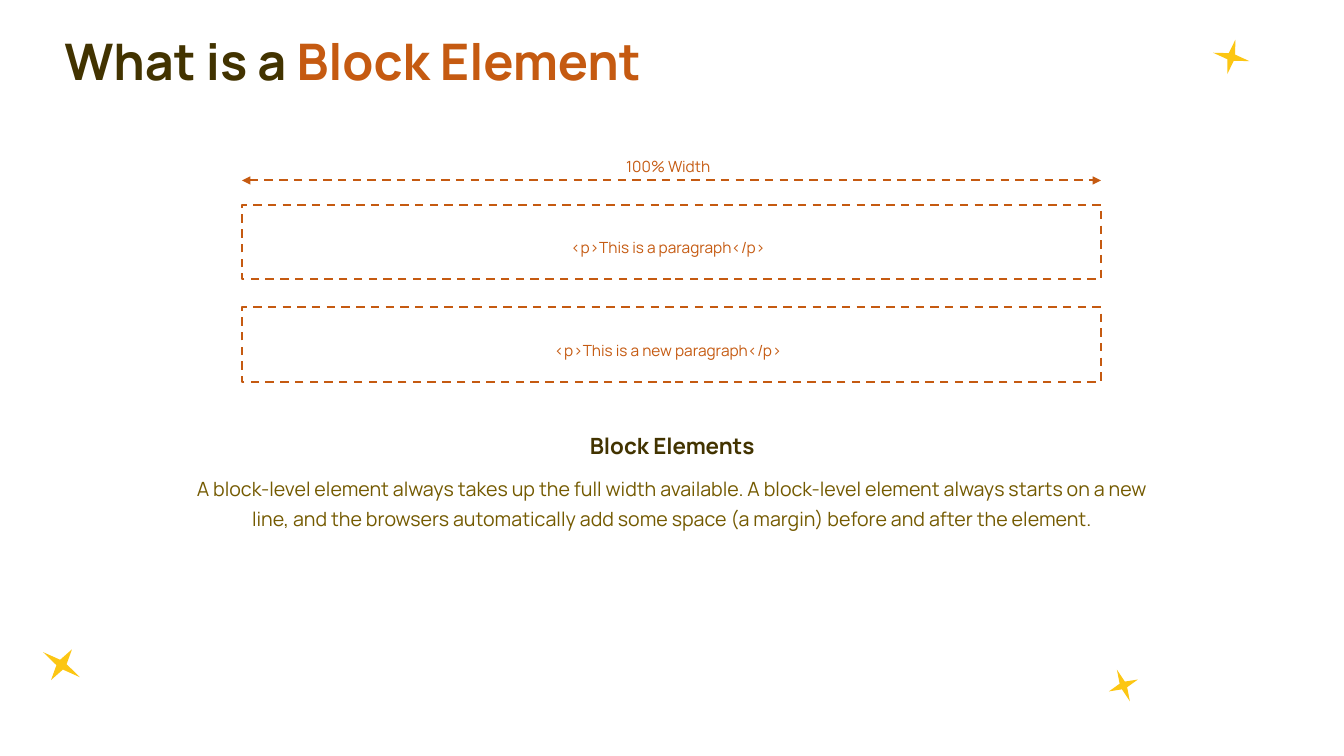
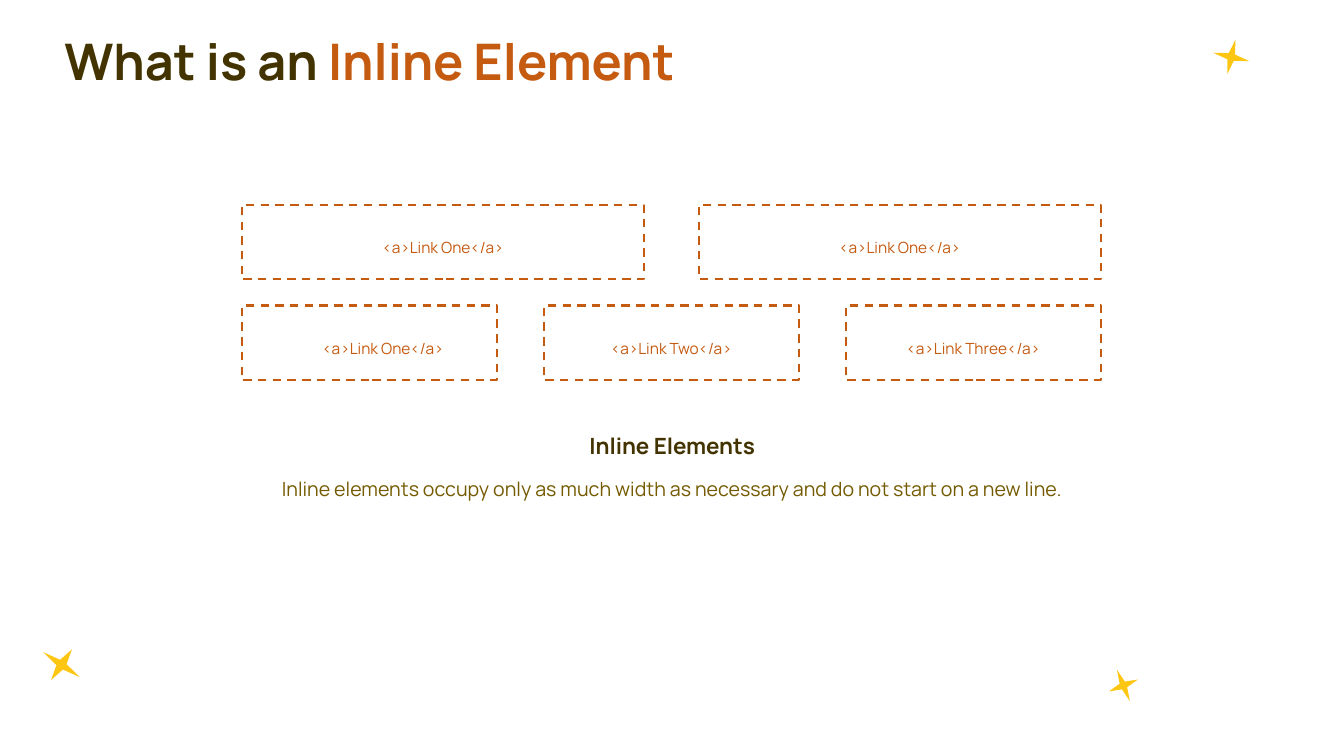
"""Build two slides on block and inline elements."""
from dataclasses import dataclass

from lxml.etree import SubElement
from pptx import Presentation
from pptx.dml.color import RGBColor
from pptx.enum.dml import MSO_LINE
from pptx.enum.shapes import MSO_CONNECTOR, MSO_SHAPE
from pptx.enum.text import MSO_ANCHOR, MSO_AUTO_SIZE, PP_ALIGN
from pptx.oxml.ns import qn
from pptx.util import Pt


@dataclass(frozen=True)
class Theme:
    """Colours, font and type sizes of the deck."""
    dark: str = "423300"
    accent: str = "C55A11"
    olive: str = "745A00"
    gold: str = "FCC613"
    font: str = "Manrope"
    title: int = 36
    head: int = 16
    body: int = 14
    label: int = 11
    line: float = 1.5


THEME = Theme()
STARS = [
    (28.1, 461.5, 31.7, 26.6, 34.3),
    (866.2, 28.1, 26.6, 25.2, 13.1),
    (791.3, 477.4, 22.3, 24.5, 337.7),
]
TITLE = (38.9, 0, 720, 68.4)
FRAME = (172.8, 146.2, 613.6, 53.3)
NOTE = (131, 295.9, 698.4, 106.5)


def points(*box):
    """Turn numbers into lengths in points."""
    return [Pt(value) for value in box]


def write(slide, box, runs, size, bold=False, align=PP_ALIGN.CENTER,
          space=1.5, anchor=MSO_ANCHOR.TOP, grow=True):
    """Place a paragraph made of (text, colour) runs in a box."""
    frame = slide.shapes.add_textbox(*points(*box)).text_frame
    frame.word_wrap = True
    frame.vertical_anchor = anchor
    frame.auto_size = (MSO_AUTO_SIZE.SHAPE_TO_FIT_TEXT if grow
                       else MSO_AUTO_SIZE.NONE)
    para = frame.paragraphs[0]
    para.alignment = align
    para.line_spacing = space
    for text, color in runs:
        run = para.add_run()
        run.text = text
        run.font.name = THEME.font
        run.font.size = Pt(size)
        run.font.bold = bold
        run.font.color.rgb = RGBColor.from_string(color)


def dash(line):
    """Give a line the dashed accent style."""
    line.color.rgb = RGBColor.from_string(THEME.accent)
    line.width = Pt(THEME.line)
    line.dash_style = MSO_LINE.DASH


def label(slide, box, text):
    """Write a small accent label in a box."""
    write(slide, box, [(text, THEME.accent)], THEME.label)


def stars(slide):
    """Scatter the gold stars."""
    for *box, turn in STARS:
        star = slide.shapes.add_shape(MSO_SHAPE.STAR_4_POINT, *points(*box))
        star.rotation = turn
        star.shadow.inherit = False
        star.fill.solid()
        star.fill.fore_color.rgb = RGBColor.from_string(THEME.gold)
        star.line.fill.background()


def row(slide, box, texts, gap=0, shifts=None):
    """Split a box into equal dashed cells, each with a label."""
    left, top, width, height = box
    cell = (width - gap * (len(texts) - 1)) / len(texts)
    for index, text in enumerate(texts):
        start = left + index * (cell + gap)
        rect = slide.shapes.add_shape(
            MSO_SHAPE.RECTANGLE, *points(start, top, cell, height))
        rect.shadow.inherit = False
        rect.fill.background()
        dash(rect.line)
        shift = shifts[index] if shifts else 0
        label(slide, (start + shift, top + 13.7, cell, 25.9), text)


def span(slide, box, text):
    """Draw a labelled arrow with two heads along the foot of a box."""
    left, top, width, height = box
    foot = top + height
    arrow = slide.shapes.add_connector(
        MSO_CONNECTOR.STRAIGHT, *points(left, foot, left + width, foot))
    dash(arrow.line)
    line = arrow.line._get_or_add_ln()
    for end in ("a:headEnd", "a:tailEnd"):
        SubElement(line, qn(end), type="triangle")
    SubElement(arrow._element.spPr, qn("a:effectLst"))
    label(slide, (left - 2.2, top, width, 25.9), text)


def note(slide, box, head, body):
    """Write a centred heading with its explanation below."""
    left, top, width, height = box
    write(slide, (left, top, width, 33.8), [(head, THEME.dark)],
          THEME.head, bold=True)
    write(slide, (left, top + 36.7, width, height - 36.7),
          [(body, THEME.olive)], THEME.body, space=Pt(21.4))


def page(deck, lead, topic, body):
    """Add a slide with stars, title and note."""
    slide = deck.slides.add_slide(deck.slide_layouts[6])
    stars(slide)
    write(slide, TITLE, [(lead, THEME.dark), (topic, THEME.accent)],
          THEME.title, bold=True, align=PP_ALIGN.LEFT, space=Pt(50.2),
          anchor=MSO_ANCHOR.BOTTOM, grow=False)
    note(slide, NOTE, topic + "s", body)
    return slide


def block(deck):
    """Build the slide on block elements."""
    slide = page(
        deck, "What is a ", "Block Element",
        "A block-level element always takes up the full width available. "
        "A block-level element always starts on a new line, and the browsers "
        "automatically add some space (a margin) before and after the "
        "element.")
    left, top, width, height = FRAME
    span(slide, (left, top - 44, width, 26.7), "100% Width")
    row(slide, FRAME, ["<p>This is a paragraph</p>"], shifts=[-2.2])
    row(slide, (left, top + 73.4, width, height),
        ["<p>This is a new paragraph</p>"], shifts=[-2.2])


def inline(deck):
    """Build the slide on inline elements."""
    slide = page(
        deck, "What is an ", "Inline Element",
        "Inline elements occupy only as much width as necessary and do not "
        "start on a new line.")
    left, top, width, height = FRAME
    row(slide, FRAME, ["<a>Link One</a>"] * 2, gap=39)
    row(slide, (left, top + 72, width, height),
        [f"<a>Link {name}</a>" for name in ("One", "Two", "Three")],
        gap=33.5, shifts=[9.7, 0, 0])


def main():
    """Build and save the deck."""
    deck = Presentation()
    deck.slide_width, deck.slide_height = points(960, 540)
    block(deck)
    inline(deck)
    deck.save("out.pptx")


if __name__ == "__main__":
    main()
